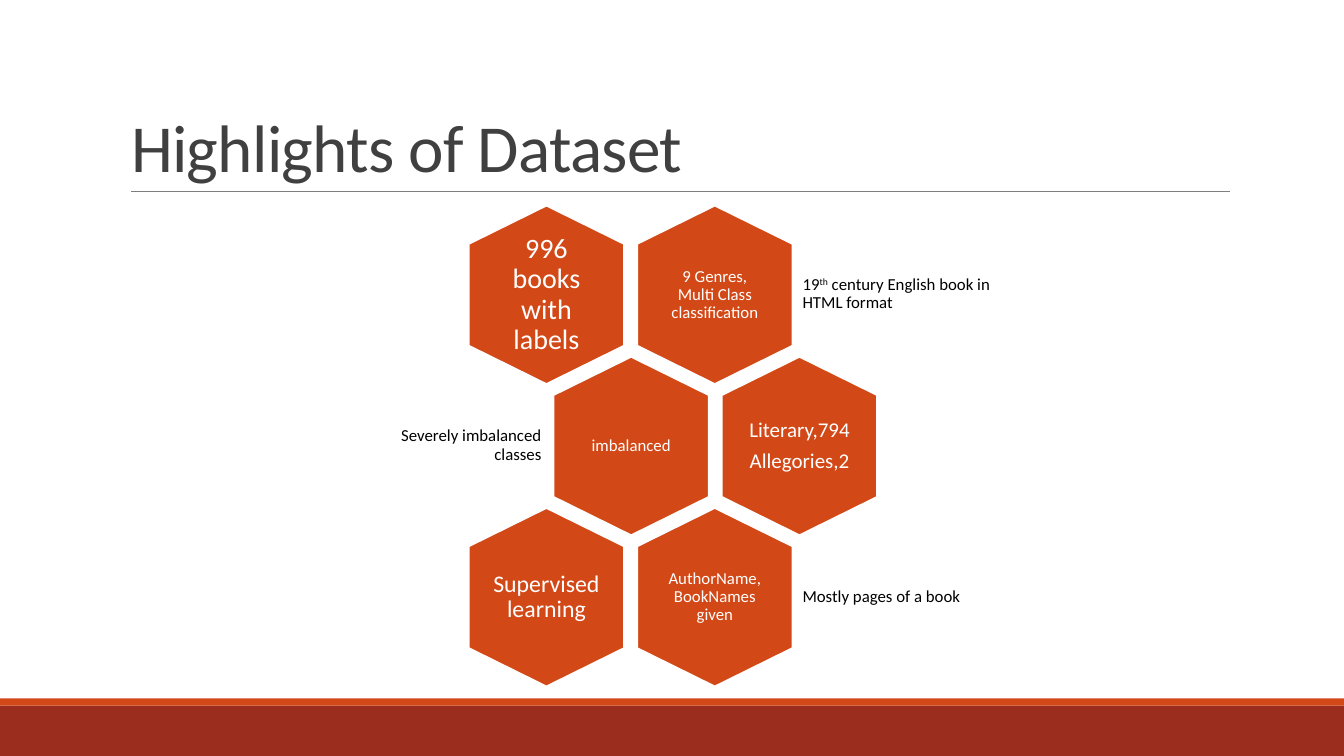
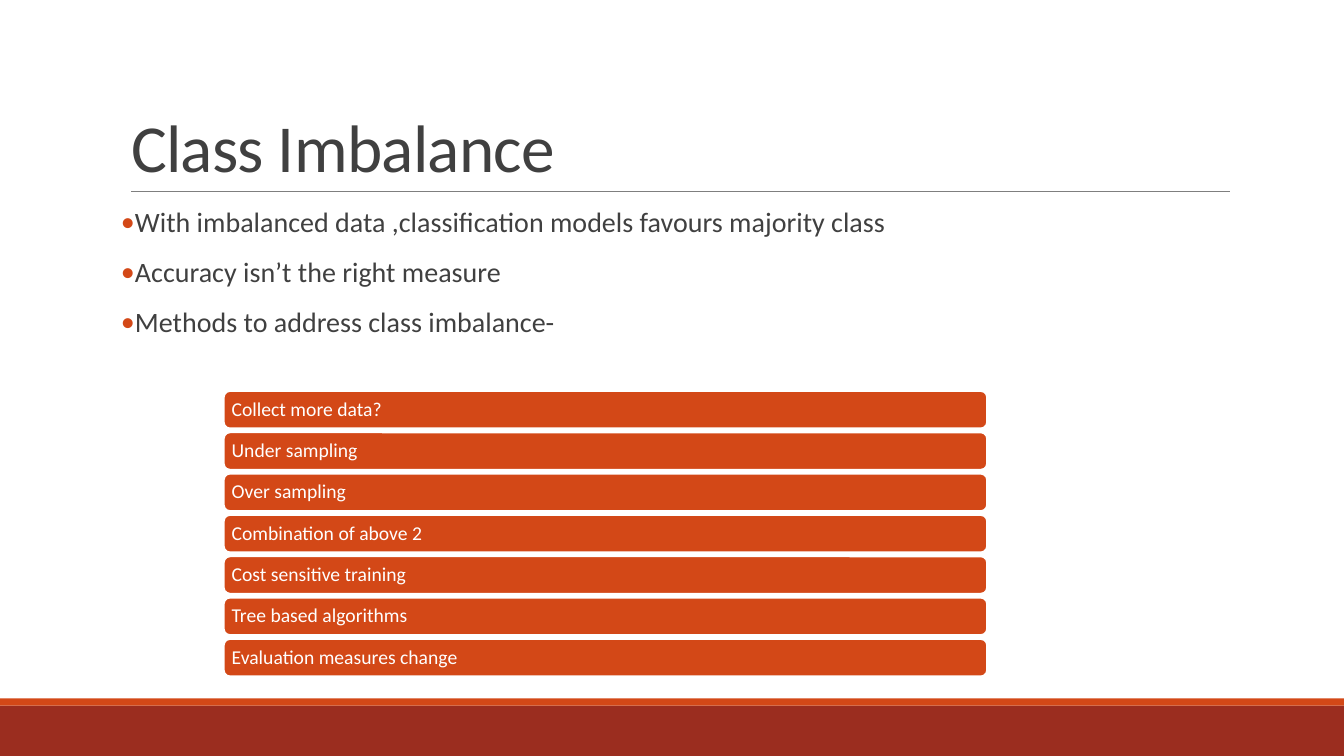
from lxml.etree import SubElement as Sub
from pptx import Presentation
from pptx.dml.color import RGBColor as Rgb
from pptx.enum.shapes import MSO_CONNECTOR as Con, MSO_SHAPE as Geo
from pptx.enum.text import MSO_ANCHOR as Anchor, MSO_AUTO_SIZE as Auto, PP_ALIGN as Align
from pptx.oxml.ns import qn
from pptx.util import Emu, Pt

FONT = "Calibri"
WIDE, HIGH = 1333, 750
HEX = {"accent": "D34817", "band": "9B2D1F", "rule": "7F7F7F",
       "text": "404040", "white": "FFFFFF", "black": "000000"}


def px(num):
    """One px is a hundredth of an inch."""
    return Emu(num * 9144)


def color(name):
    return Rgb.from_string(HEX[name])


def put(obj, vals):
    for key, val in vals.items():
        setattr(obj, key, val)


def place(shape, *box):
    put(shape, dict(zip(("left", "top", "width", "height"), map(px, box))))


# Text

def write(shape, lines, size, ink, pads, anchor=Anchor.MIDDLE, **form):
    """Fill a shape with paragraphs; text between ^ marks is raised."""
    frame = shape.text_frame
    sides = ("margin_left", "margin_top", "margin_right", "margin_bottom")
    put(frame, {"word_wrap": True, "auto_size": Auto.NONE,
                "vertical_anchor": anchor, **dict(zip(sides, map(px, pads * 2)))})
    for num, line in enumerate(lines):
        para = frame.add_paragraph() if num else frame.paragraphs[0]
        put(para, {"line_spacing": 0.9, "alignment": Align.LEFT, **form})
        for odd, part in enumerate(line.split("^")):
            run = para.add_run()
            run.text = part
            put(run.font, {"name": FONT, "size": Pt(size)})
            run.font.color.rgb = color(ink)
            if odd % 2:
                run.font._element.set("baseline", "30000")
    return frame.paragraphs


def head(slide, text):
    title = slide.shapes.title
    place(title, 120, 31, 1100, 159)
    para, = write(title, [text], 48, "text", (10, 5), Anchor.BOTTOM, line_spacing=0.85)
    para.runs[0].font._element.set("spc", "-50")


def points(slide, lines):
    body = slide.placeholders[1]
    place(body, 120, 202, 1100, 440)
    paras = write(body, lines, 20, "text", (0, 5), Anchor.TOP,
                  space_before=Pt(12), space_after=Pt(2))
    for para in paras:
        prop = para._p.get_or_add_pPr()
        prop.set("marL", str(px(10)))
        prop.set("indent", str(px(-10)))
        tint = Sub(prop, qn("a:buClr"))
        Sub(tint, qn("a:srgbClr"), val=HEX["accent"])
        Sub(prop, qn("a:buFont"), typeface=FONT)
        Sub(prop, qn("a:buChar"), char="•")


# Shapes

def paint(shape, fill, edge=None):
    shape.shadow.inherit = False
    shape.fill.solid()
    shape.fill.fore_color.rgb = color(fill)
    if edge:
        shape.line.color.rgb = color(edge)
        shape.line.width = Pt(1.25)
    else:
        shape.line.fill.background()
    return shape


def block(slide, geo, box, fill, edge=None):
    return paint(slide.shapes.add_shape(geo, *map(px, box)), fill, edge)


def cell(slide, left, top, lines, size):
    """A hexagon that stands on its point."""
    wide, high, cut = 154, 177, 38
    mid, right, low = left + wide // 2, left + wide, top + high
    pen = slide.shapes.build_freeform(mid, top, scale=px(1))
    pen.add_line_segments([(right, top + cut), (right, low - cut), (mid, low),
                           (left, low - cut), (left, top + cut)])
    shape = paint(pen.convert_to_shape(), "accent", "white")
    pads = (29, 33) if size == 12 else (24, 28)
    write(shape, lines, size, "white", pads,
          alignment=Align.CENTER, space_after=Pt(size * 0.4))


def note(slide, left, top, wide, text, align):
    box = slide.shapes.add_textbox(*map(px, (left, top, wide, 106)))
    write(box, [text], 12, "black", (5, 5), alignment=align, space_after=Pt(5))


def bar(slide, top, text):
    shape = block(slide, Geo.ROUNDED_RECTANGLE, (222, top, 757, 37), "accent", "white")
    write(shape, [text], 14, "white", (6, 6), space_after=Pt(6))


def dress(deck, slide):
    """Draw the bands and the title rule, then hand them to the master."""
    rule = slide.shapes.add_connector(Con.STRAIGHT, *map(px, (130, 190, 1220, 190)))
    rule.line.color.rgb = color("rule")
    rule.line.width = Pt(0.5)
    Sub(rule.element.spPr, qn("a:effectLst"))
    parts = [block(slide, Geo.RECTANGLE, (0, 700, WIDE, 50), "band"),
             block(slide, Geo.RECTANGLE, (0, 693, WIDE, 7), "accent"), rule]
    for num, part in enumerate(parts, 20):
        part.element.xpath(".//p:cNvPr")[0].set("id", str(num))
        deck.slide_master.shapes.element.append(part.element)


# Slides

def comb(slide):
    head(slide, "Highlights of Dataset")
    rows = [
        ((["996 books with labels"], 20), (["9 Genres, Multi Class classification"], 12),
         "19^th^ century English book in HTML format"),
        ((["imbalanced"], 12), (["Literary,794", "Allegories,2"], 15),
         "Severely imbalanced classes"),
        ((["Supervised learning"], 17), (["AuthorName, BookNames given"], 12),
         "Mostly pages of a book"),
    ]
    for row, (*cells, text) in enumerate(rows):
        odd, top = row % 2, 204 + 150 * row
        for col, (lines, size) in enumerate(cells):
            cell(slide, 465 + 167 * col + 84 * odd, top, lines, size)
        left, wide, align = (350, 192, Align.RIGHT) if odd else (791, 198, Align.LEFT)
        note(slide, left, top + 35, wide, text, align)


def bars(slide):
    head(slide, "Class Imbalance")
    points(slide, ["With imbalanced data ,classification models favours majority class",
                   "Accuracy isn’t the right measure",
                   "Methods to address class imbalance-"])
    names = ["Collect more data?", "Under sampling", "Over sampling",
             "Combination of above 2", "Cost sensitive training",
             "Tree based algorithms", "Evaluation measures change"]
    for num, name in enumerate(names):
        bar(slide, 388 + 41 * num, name)


def main():
    deck = Presentation()
    put(deck, {"slide_width": px(WIDE), "slide_height": px(HIGH)})
    only, list_page = deck.slide_layouts[5], deck.slide_layouts[1]
    first = deck.slides.add_slide(only)
    dress(deck, first)
    comb(first)
    bars(deck.slides.add_slide(list_page))
    deck.save("out.pptx")


if __name__ == "__main__":
    main()
